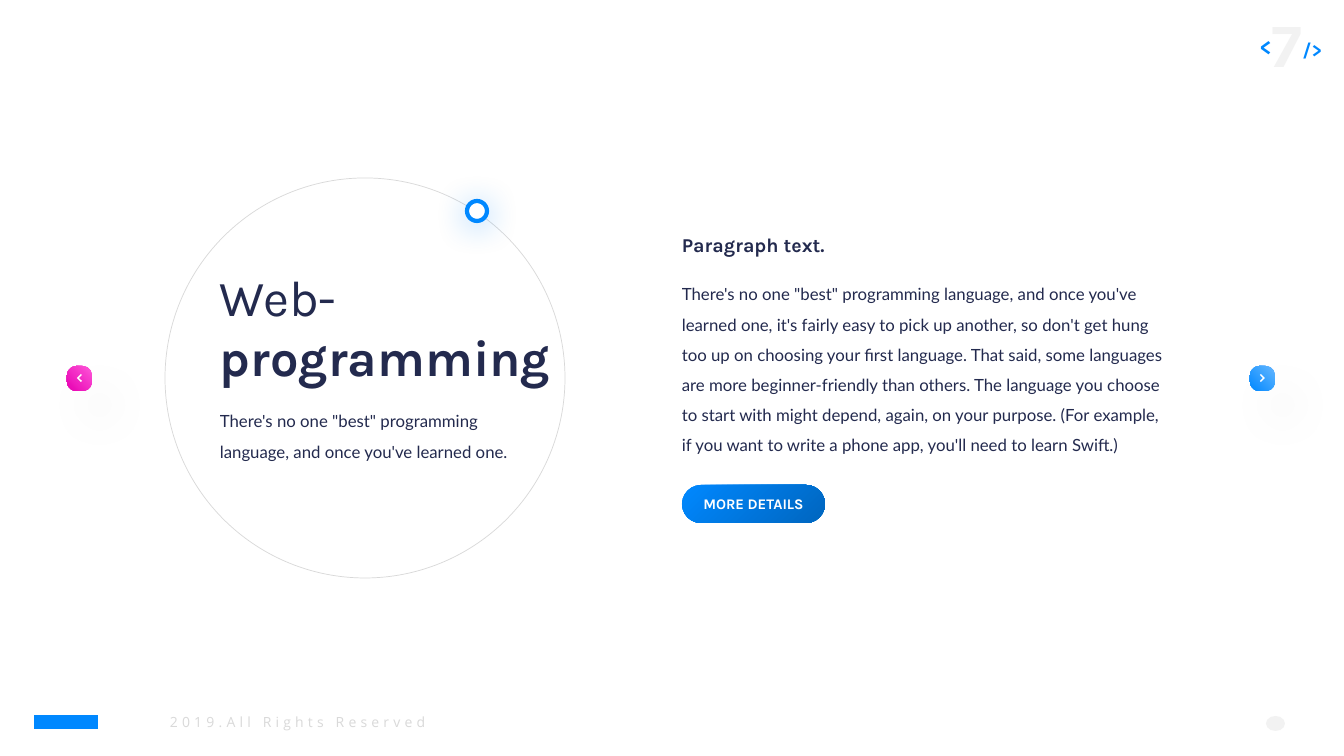
from lxml.etree import SubElement
from pptx import Presentation
from pptx.dml.color import RGBColor
from pptx.enum.shapes import MSO_SHAPE as Shape
from pptx.enum.text import MSO_ANCHOR as Anchor, MSO_AUTO_SIZE as AutoSize, PP_ALIGN as Align
from pptx.oxml.ns import qn
from pptx.util import Pt

PX = 12192000 / 1344  # EMU per px
BLUE, NAVY, WHITE, PALE = "0088FF", "232A4E", "FFFFFF", "F2F2F2"
SUMMARY = "There's no one \"best\" programming language, and once you've learned one."
BODY = (
    "There's no one \"best\" programming language, and once you've learned one, "
    "it's fairly easy to pick up another, so don't get hung too up on choosing "
    "your first language. That said, some languages are more beginner-friendly "
    "than others. The language you choose to start with might depend, again, on "
    "your purpose. (For example, if you want to write a phone app, you'll need to "
    "learn Swift.)"
)


def px(*lengths):
    return [round(length * PX) for length in lengths]


def color(value):
    return RGBColor.from_string(value)


def add_span(para, text, size, hue=NAVY, font="Karla", bold=False, raised=0, spacing=0):
    """Append a run; raised is a baseline shift in percent, spacing is in points."""
    span = para.add_run()
    span.text = text
    span.font.size, span.font.name, span.font.bold = Pt(size), font, bold
    span.font.color.rgb = color(hue)
    properties = span._r.get_or_add_rPr()
    if raised:
        properties.set("baseline", str(raised * 1000))
    if spacing:
        properties.set("spc", str(spacing * 100))


def add_text(page, area, *lines, align=Align.LEFT, anchor=Anchor.TOP, leading=1.0, wrap=True):
    """Add a text box; each line is a list of (text, format) pairs."""
    frame = page.shapes.add_textbox(*px(*area)).text_frame
    frame.word_wrap, frame.vertical_anchor = wrap, anchor
    frame.auto_size = AutoSize.SHAPE_TO_FIT_TEXT
    for index, spans in enumerate(lines):
        para = frame.add_paragraph() if index else frame.paragraphs[0]
        para.alignment, para.line_spacing = align, leading
        for text, style in spans:
            add_span(para, text, **style)


def add_shape(page, kind, area, fill=None):
    shape = page.shapes.add_shape(kind, *px(*area))
    shape.shadow.inherit = False
    shape.line.fill.background()
    if fill:
        shape.fill.solid()
        shape.fill.fore_color.rgb = color(fill)
    else:
        shape.fill.background()
    return shape


def set_outline(shape, hue, width, opacity=100):
    shape.line.color.rgb = color(hue)
    shape.line.width = Pt(width)
    if opacity < 100:
        tint = shape._element.spPr.find(qn("a:ln")).find(".//" + qn("a:srgbClr"))
        SubElement(tint, qn("a:alpha"), val=str(opacity * 1000))


def set_gradient(shape, start, end, angle):
    """Fill from start to end, with the angle measured clockwise."""
    shape.fill.gradient()
    shape.fill.gradient_angle = 360 - angle
    for stop, hue in zip(shape.fill.gradient_stops, (start, end)):
        stop.color.rgb = color(hue)


def set_shadow(shape, hue, opacity, blur, distance, angle):
    effects = shape._element.spPr.find(qn("a:effectLst"))
    shadow = SubElement(
        effects, qn("a:outerShdw"), blurRad=str(Pt(blur)), dist=str(Pt(distance)),
        dir=str(angle * 60000), algn="ctr", rotWithShape="0",
    )
    tint = SubElement(shadow, qn("a:srgbClr"), val=hue)
    SubElement(tint, qn("a:alpha"), val=str(opacity * 1000))


def add_arrow_button(page, left, start, end, forward):
    top = 366
    tile = add_shape(page, Shape.ROUNDED_RECTANGLE, (left, top, 25, 25))
    tile.adjustments[0] = 0.37
    set_gradient(tile, start, end, 135)
    set_shadow(tile, "000000", 6, 33, 24, 53)

    outline = [(5, 1), (4, 0), (0, 4), (4, 8), (5, 7), (2, 4)]
    points = [(left + 10 + (5 - x if forward else x), top + 8 + y) for x, y in outline]
    builder = page.shapes.build_freeform(*points[0], scale=PX)
    builder.add_line_segments(points[1:], close=True)
    chevron = builder.convert_to_shape()
    chevron.shadow.inherit = False
    chevron.fill.solid()
    chevron.fill.fore_color.rgb = color(WHITE)
    chevron.line.fill.background()


def add_details_button(page):
    button = add_shape(page, Shape.ROUNDED_RECTANGLE, (682, 485, 143, 38))
    button.adjustments[0] = 0.5
    set_gradient(button, BLUE, "0066BF", 45)
    frame = button.text_frame
    frame.vertical_anchor = Anchor.MIDDLE
    para = frame.paragraphs[0]
    para.alignment = Align.CENTER
    add_span(para, "MORE DETAILS", size=10.5, hue=WHITE, bold=True)


def add_header_and_footer(page):
    bracket = dict(hue=BLUE, bold=True, raised=30)
    add_text(
        page, (1075, 0, 257, 85),
        [("<", dict(bracket, size=28)), ("7", dict(size=44, hue=PALE, bold=True)),
         ("/>", dict(bracket, size=24))],
        align=Align.RIGHT, anchor=Anchor.MIDDLE,
    )
    add_text(
        page, (160, 709, 278, 27),
        [("2019.All Rights Reserved", dict(size=10, hue="D9D9D9", font="Open Sans", spacing=3))],
        wrap=False,
    )
    add_shape(page, Shape.RECTANGLE, (34, 715, 64, 14), BLUE)
    add_shape(page, Shape.OVAL, (1266, 716, 19, 15), PALE)


def main():
    deck = Presentation()
    deck.slide_width, deck.slide_height = px(1344, 756)
    page = deck.slides.add_slide(deck.slide_layouts[6])
    add_header_and_footer(page)

    ring = add_shape(page, Shape.OVAL, (165, 178, 400, 400))
    set_outline(ring, "BFBFBF", 0.5, opacity=60)
    marker = add_shape(page, Shape.OVAL, (467, 201, 20, 20), WHITE)
    set_outline(marker, BLUE, 3)
    set_shadow(marker, BLUE, 40, 24, 3, 90)

    reading = dict(size=12, font="Lato")
    add_text(page, (210, 261, 357, 132),
             [("Web-", dict(size=36))], [("programming", dict(size=36, bold=True))])
    add_details_button(page)
    add_text(page, (672, 221, 239, 37),
             [("Paragraph text.", dict(size=14, bold=True))], leading=1.3)
    add_text(page, (672, 269, 504, 190), [(BODY, reading)], leading=1.5)
    add_text(page, (210, 396, 314, 68), [(SUMMARY, reading)], leading=1.5)

    add_arrow_button(page, 67, "FF58D9", "E700B2", forward=False)
    add_arrow_button(page, 1250, "66B8FF", BLUE, forward=True)
    deck.save("out.pptx")


if __name__ == "__main__":
    main()
